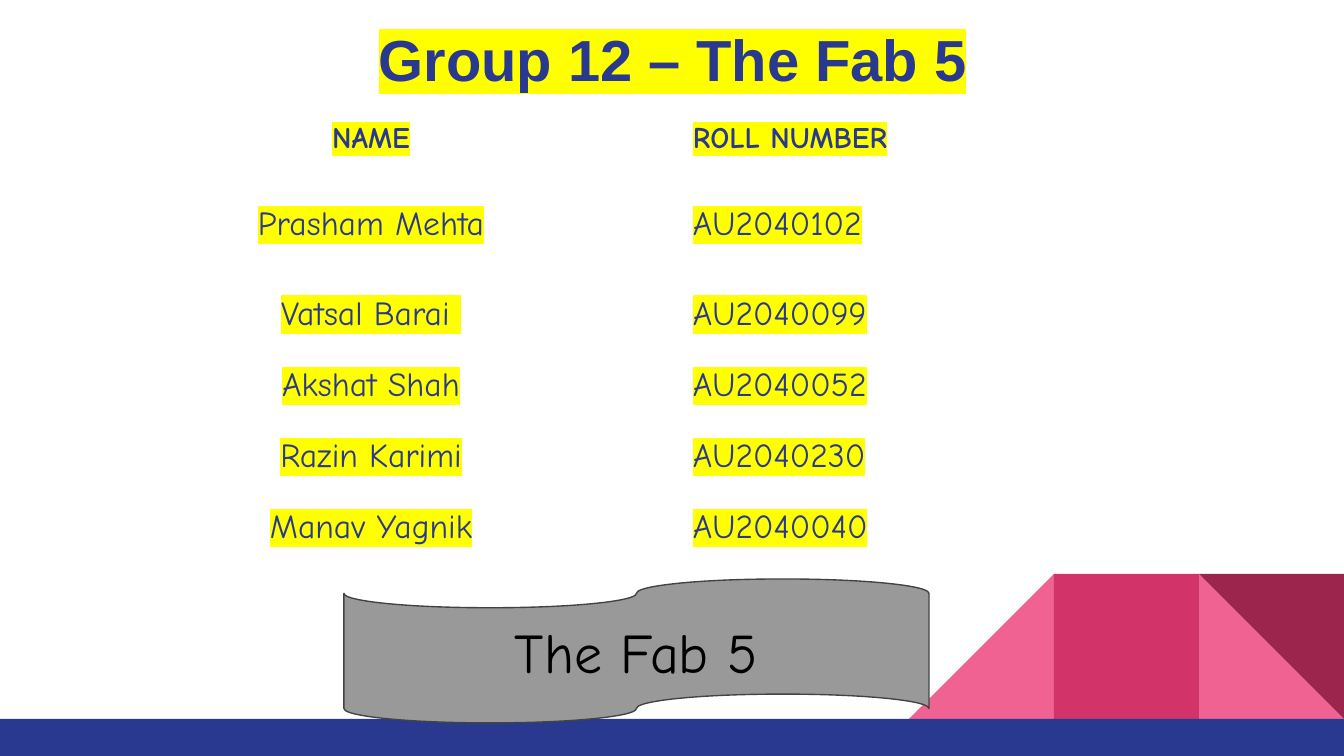
from lxml import etree
from pptx import Presentation
from pptx.dml.color import RGBColor
from pptx.enum.shapes import MSO_SHAPE
from pptx.enum.text import MSO_ANCHOR, MSO_AUTO_SIZE, PP_ALIGN
from pptx.oxml.ns import qn
from pptx.util import Pt

LEFT, CENTER = PP_ALIGN.LEFT, PP_ALIGN.CENTER
TOP, MIDDLE = MSO_ANCHOR.TOP, MSO_ANCHOR.MIDDLE
RECTANGLE, TRIANGLE = MSO_SHAPE.RECTANGLE, MSO_SHAPE.RIGHT_TRIANGLE
PUNCHED_TAPE = MSO_SHAPE.FLOWCHART_PUNCHED_TAPE
NO_AUTOSIZE = MSO_AUTO_SIZE.NONE

PX = 914400 / 134.4
NAVY, YELLOW, PINK = "2A3990", "FFFF00", "F06292"


def px(*lengths):
    return [round(length * PX) for length in lengths]


def write(paragraph, text, size, font="Comic Neue", color=NAVY, bold=False,
          align=LEFT, highlight=YELLOW, spacing=1.15, before=0):
    paragraph.alignment = align
    paragraph.line_spacing = spacing
    paragraph.space_before = Pt(before)
    run = paragraph.add_run()
    run.text = text
    run.font.size = Pt(size)
    run.font.bold = bold
    run.font.color.rgb = RGBColor.from_string(color)
    if highlight:
        mark = etree.SubElement(run.font._element, qn("a:highlight"))
        etree.SubElement(mark, qn("a:srgbClr"), val=highlight)
    run.font.name = font


presentation = Presentation()
presentation.slide_width, presentation.slide_height = px(1344, 756)
slide = presentation.slides.add_slide(presentation.slide_layouts[5])
inset, = px(13)

# Title
title = slide.shapes.title
title.left, title.top, title.width, title.height = px(321, 0, 703, 97)
frame = title.text_frame
frame.word_wrap = True
frame.auto_size = NO_AUTOSIZE
frame.vertical_anchor = TOP
frame.margin_left = frame.margin_right = inset
frame.margin_top = frame.margin_bottom = inset
write(frame.paragraphs[0], "Group 12 – The Fab 5", 31, font="Arial",
      bold=True, align=CENTER)

# Corner decoration: tiles of 145 px above a full-width bar
tile = 145
right, middle, left = [1344 - tile * count for count in (1, 2, 3)]
decoration = slide.shapes.add_group_shape()
for kind, x, y, width, height, color, rotation, flipped in (
    (TRIANGLE, right, 574, tile, tile, PINK, 0, False),
    (TRIANGLE, left, 574, tile, tile, PINK, 0, True),
    (RECTANGLE, middle, 574, tile, tile, "D23369", 0, False),
    (TRIANGLE, right, 574, tile, tile, "9C254D", 180, False),
    (RECTANGLE, 0, 719, 1344, 37, NAVY, 0, False),
):
    shape = decoration.shapes.add_shape(kind, *px(x, y, width, height))
    shape.shadow.inherit = False
    shape.fill.solid()
    shape.fill.fore_color.rgb = RGBColor.from_string(color)
    shape.line.fill.background()
    shape.rotation = rotation
    if flipped:
        shape._element.spPr.xfrm.set("flipH", "1")

# Member table; the second row holds two members
rows = [
    (83, [("NAME", "ROLL NUMBER")]),
    (161, [("Prasham Mehta", "AU2040102\t"), ("Vatsal Barai ", "AU2040099")]),
    (71, [("Akshat Shah", "AU2040052")]),
    (71, [("Razin Karimi", "AU2040230")]),
    (71, [("Manav Yagnik", "AU2040040")]),
]
table = slide.shapes.add_table(len(rows), 2, *px(62, 104, 1244, 457)).table
table.first_row = table.horz_banding = False
table.columns[0].width, table.columns[1].width = px(618, 626)
for row_index, (height, members) in enumerate(rows):
    table.rows[row_index].height, = px(height)
    header = row_index == 0
    for column, align in enumerate((CENTER, LEFT)):
        cell = table.cell(row_index, column)
        cell.fill.background()
        cell.margin_left = cell.margin_right = inset
        cell.margin_top = cell.margin_bottom = inset
        for index, member in enumerate(members):
            frame = cell.text_frame
            paragraph = frame.add_paragraph() if index else frame.paragraphs[0]
            write(paragraph, member[column], 16 if header else 18,
                  bold=header, align=align, before=24 * index)
            # The highlight runs on to a tab stop
            if "\t" in member[column]:
                stops = etree.SubElement(paragraph._p.get_or_add_pPr(), qn("a:tabLst"))
                etree.SubElement(stops, qn("a:tab"), pos=str(px(214)[0]), algn="l")

# Banner
banner = slide.shapes.add_shape(PUNCHED_TAPE, *px(344, 579, 585, 144))
banner.shadow.inherit = False
banner.fill.solid()
banner.fill.fore_color.rgb = RGBColor.from_string("999999")
banner.line.color.rgb = RGBColor.from_string("434343")
banner.line.width = Pt(0.75)
frame = banner.text_frame
frame.word_wrap = True
frame.vertical_anchor = MIDDLE
frame.margin_left = frame.margin_right = inset
frame.margin_top = frame.margin_bottom = inset
write(frame.paragraphs[0], "The Fab 5", 30, color="000000", align=CENTER,
      highlight=None, spacing=1.0)

presentation.save("out.pptx")
